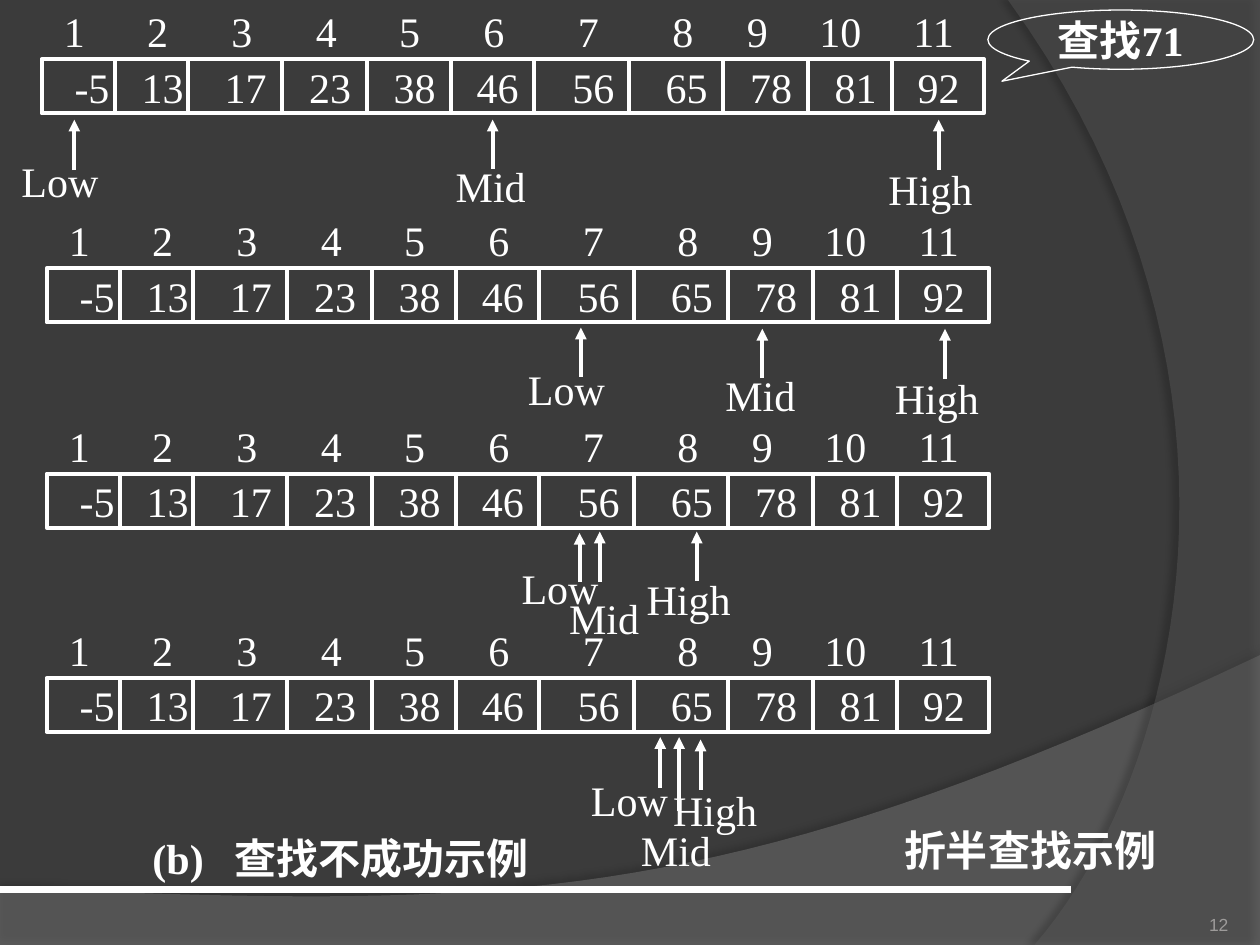
from lxml.etree import SubElement
from pptx import Presentation
from pptx.dml.color import RGBColor
from pptx.enum.shapes import MSO_CONNECTOR, MSO_SHAPE
from pptx.enum.text import MSO_ANCHOR, MSO_AUTO_SIZE, PP_ALIGN
from pptx.oxml.ns import qn
from pptx.util import Inches, Pt

COLORS = {"back": "3B3B3B", "white": "FFFFFF", "wave": "7F7F7F",
          "arc": "5E5E5E", "page": "9D9B9A", "shade": "000000"}
BODY = {"name": "Times New Roman", "size": Pt(24), "bold": False}
BOLD = {**BODY, "bold": True}
SMALL = {"name": "Arial", "size": Pt(10), "bold": False}
FRAME = {"word_wrap": False, "auto_size": MSO_AUTO_SIZE.NONE,
         "vertical_anchor": MSO_ANCHOR.MIDDLE, "margin_left": 0,
         "margin_right": 0, "margin_top": 0, "margin_bottom": 0}

HEADS = [str(n) for n in range(1, 12)]
KEYS = ["-5", "13", "17", "23", "38", "46", "56", "65", "78", "81", "92"]
HEAD_TABS = [0.28, 0.94, 1.61, 2.28, 2.94, 3.61, 4.36, 5.11, 5.7, 6.36, 7.1]
KEY_TABS = [0.4, 0.96, 1.62, 2.29, 2.96, 3.62, 4.38, 5.12, 5.79, 6.46, 7.12]
CUTS = [0.58, 1.16, 1.91, 2.58, 3.25, 3.91, 4.66, 5.41, 6.08, 6.75]
WIDE, HIGH = 7.48, 0.43
SIZES = {"Low": 0.71, "Mid": 0.63, "High": 0.71}
# Each step: left, top, then label, label left, label top, arrow x, tail y, tip y
STEPS = [
    (0.33, 0.47, [("Mid", 3.58, 1.28, 3.91, 1.34, 0.95),
                  ("High", 7.03, 1.3, 7.45, 1.35, 0.95),
                  ("Low", 0.12, 1.24, 0.59, 1.35, 0.95)]),
    (0.37, 2.13, [("Mid", 5.72, 2.94, 6.05, 3, 2.61),
                  ("High", 7.08, 2.96, 7.5, 3.01, 2.61),
                  ("Low", 4.14, 2.89, 4.61, 2.99, 2.6)]),
    (0.37, 3.76, [("Mid", 4.48, 4.71, 4.76, 4.62, 4.22),
                  ("High", 5.11, 4.56, 5.53, 4.61, 4.22),
                  ("Low", 4.09, 4.47, 4.6, 4.62, 4.23)]),
    (0.37, 5.38, [("Mid", 5.05, 6.55, 5.39, 6.44, 5.85),
                  ("High", 5.32, 6.23, 5.56, 6.27, 5.87),
                  ("Low", 4.64, 6.15, 5.24, 6.25, 5.85)]),
]
WAVE = [(10, 5.2), (5.59, 7.29), (3.91, 7.19), (0, 7.05)]
ARC = [(8.21, 7.5), (9.35, 6.19), (10.18, 3), (8, 0)]


def tint(name):
    return RGBColor.from_string(COLORS[name])


def apply(target, values):
    for key, value in values.items():
        setattr(target, key, value)


def write(shape, text, font=BODY, color="white", align=PP_ALIGN.CENTER,
          tabs=(), stop="ctr", **extra):
    frame = shape.text_frame
    apply(frame, {**FRAME, **extra})
    para = frame.paragraphs[0]
    para.text = text
    para.alignment = align
    if tabs:
        stops = SubElement(para._p.get_or_add_pPr(), qn("a:tabLst"))
        for tab in tabs:
            SubElement(stops, qn("a:tab"), pos=str(Inches(tab)), algn=stop)
    for run in para.runs:
        apply(run.font, font)
        run.font.color.rgb = tint(color)
    return para


def label(shapes, box, text, **look):
    return write(shapes.add_textbox(*map(Inches, box)), text, **look)


def outline(shapes, kind, box, width):
    shape = shapes.add_shape(kind, *map(Inches, box))
    shape.shadow.inherit = False
    shape.fill.background()
    shape.line.color.rgb = tint("white")
    shape.line.width = Pt(width)
    return shape


def rule(shapes, ends, width=2.25, arrow=False):
    line = shapes.add_connector(MSO_CONNECTOR.STRAIGHT, *map(Inches, ends))
    line.line.color.rgb = tint("white")
    line.line.width = Pt(width)
    if arrow:
        SubElement(line.line._get_or_add_ln(), qn("a:tailEnd"), type="triangle")
    SubElement(line._element.spPr, qn("a:effectLst"))


def curve(ends, count=40):
    for step in range(count + 1):
        t = step / count
        parts = ((1 - t) ** 3, 3 * t * (1 - t) ** 2, 3 * t * t * (1 - t), t ** 3)
        yield tuple(sum(w * p[i] for w, p in zip(parts, ends)) for i in (0, 1))


def alpha(node, value):
    SubElement(node, qn("a:alpha"), val=str(value * 1000))


def swoosh(shapes, points, color, clear, shade, gap, angle):
    first, *rest = [(Inches(x), Inches(y)) for x, y in points]
    pen = shapes.build_freeform(*first)
    pen.add_line_segments(rest, close=True)
    shape = pen.convert_to_shape()
    shape.fill.solid()
    shape.fill.fore_color.rgb = tint(color)
    shape.line.fill.background()
    props = shape._element.spPr
    alpha(props.find(".//" + qn("a:srgbClr")), clear)
    glow = SubElement(SubElement(props, qn("a:effectLst")), qn("a:outerShdw"),
                      blurRad=str(Pt(4)), dist=str(Pt(gap)),
                      dir=str(angle * 60000), algn="ctr", rotWithShape="0")
    alpha(SubElement(glow, qn("a:srgbClr"), val=COLORS["shade"]), shade)


def number(shapes):
    para = label(shapes, (8.92, 7.02, 0.83, 0.4), "12", font=SMALL, color="page",
                 align=PP_ALIGN.RIGHT, word_wrap=True,
                 vertical_anchor=MSO_ANCHOR.BOTTOM)
    run = para.runs[0]._r
    field = SubElement(para._p, qn("a:fld"), type="slidenum",
                       id="{B6F15528-21DE-4FAA-801E-634DDDAF4B2B}")
    field.extend(list(run))
    para._p.remove(run)


def step(shapes, left, top, marks):
    row = {"align": PP_ALIGN.LEFT, "word_wrap": True}
    bar = outline(shapes, MSO_SHAPE.RECTANGLE, (left, top, WIDE, HIGH), 2.25)
    write(bar, "\t" + "\t".join(KEYS), tabs=KEY_TABS, **row)
    for cut in CUTS:
        rule(shapes, (left + cut, top, left + cut, top + HIGH))
    label(shapes, (left - 0.02, top - 0.42, WIDE, 0.39),
          "\t" + "\t".join(HEADS), tabs=HEAD_TABS, **row)
    for name, x, y, mid, tail, tip in marks:
        label(shapes, (x, y, SIZES[name], 0.39), name)
        rule(shapes, (mid, tail, mid, tip), arrow=True)


def main():
    """Build the binary search slide."""
    deck = Presentation()
    deck.slide_width, deck.slide_height = Inches(10), Inches(7.5)
    deck.element.set("firstSlideNum", "12")
    slide = deck.slides.add_slide(deck.slide_layouts[5])
    slide.background.fill.solid()
    slide.background.fill.fore_color.rgb = tint("back")
    shapes = slide.shapes
    swoosh(shapes, [(0, 7.5), (10, 7.5), *curve(WAVE)], "wave", 45, 35, 3.5, 270)
    swoosh(shapes, [(10, 0), (10, 7.5), *curve(ARC)], "arc", 40, 45, 4, 180)
    rule(shapes, (0, 7.06, 8.5, 7.06), 4.5)
    number(shapes)
    call = outline(shapes, MSO_SHAPE.OVAL_CALLOUT, (7.84, 0.08, 2.11, 0.47), 0.75)
    call.adjustments[0], call.adjustments[1] = -0.447, 0.702
    write(call, "查找71", font=BOLD)
    for item in STEPS:
        step(shapes, *item)
    label(shapes, (1.13, 6.59, 3.15, 0.43), "(b)\t查找不成功示例", font=BOLD,
          align=PP_ALIGN.LEFT, tabs=[0.65], stop="l", word_wrap=True,
          margin_left=Inches(0.08))
    title = shapes.title
    place = zip(("left", "top", "width", "height"), (6.52, 6.51, 3.31, 0.47))
    apply(title, {key: Inches(value) for key, value in place})
    write(title, "折半查找示例", font=BOLD)
    shapes.element.append(title.element)
    deck.save("out.pptx")


if __name__ == "__main__":
    main()
